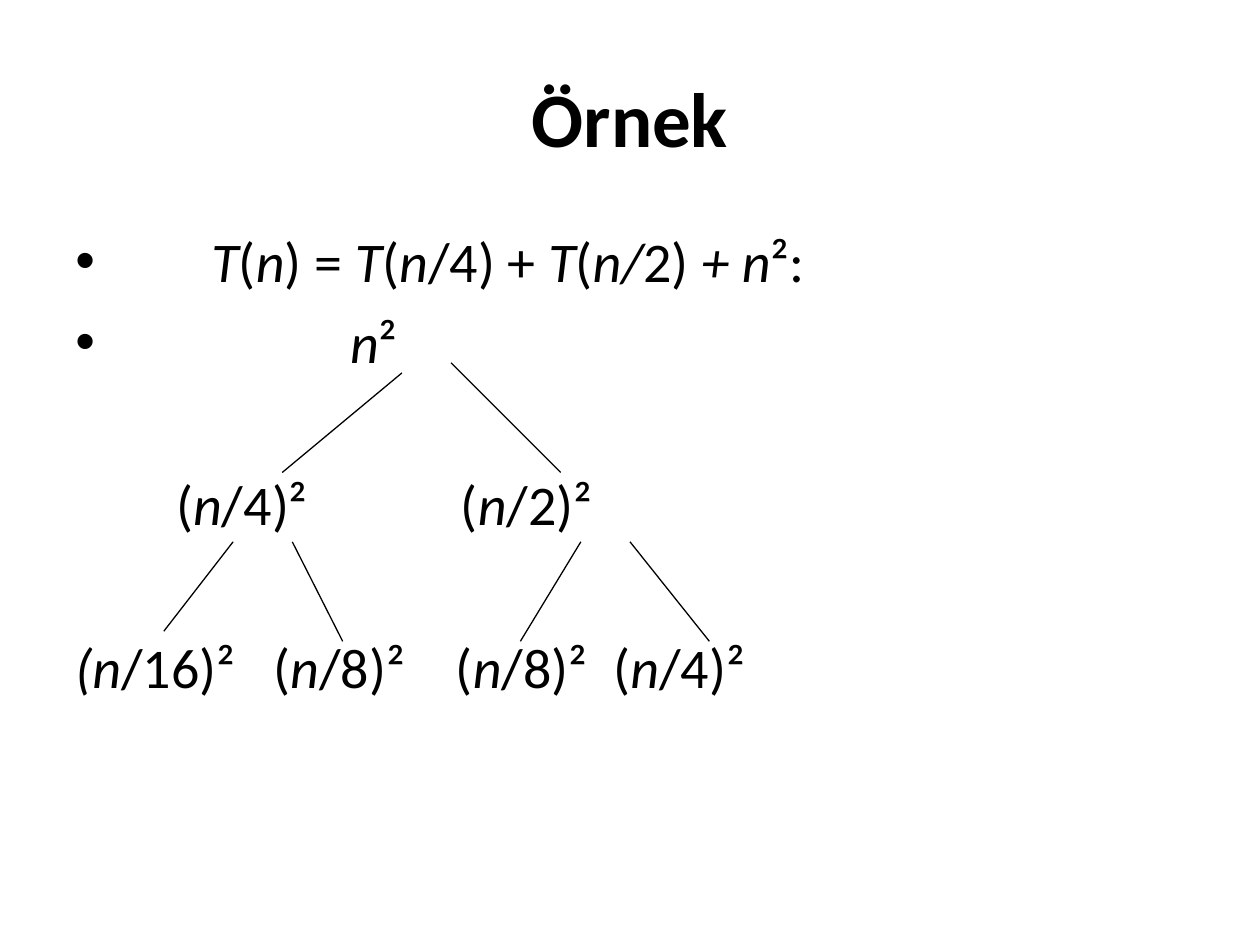
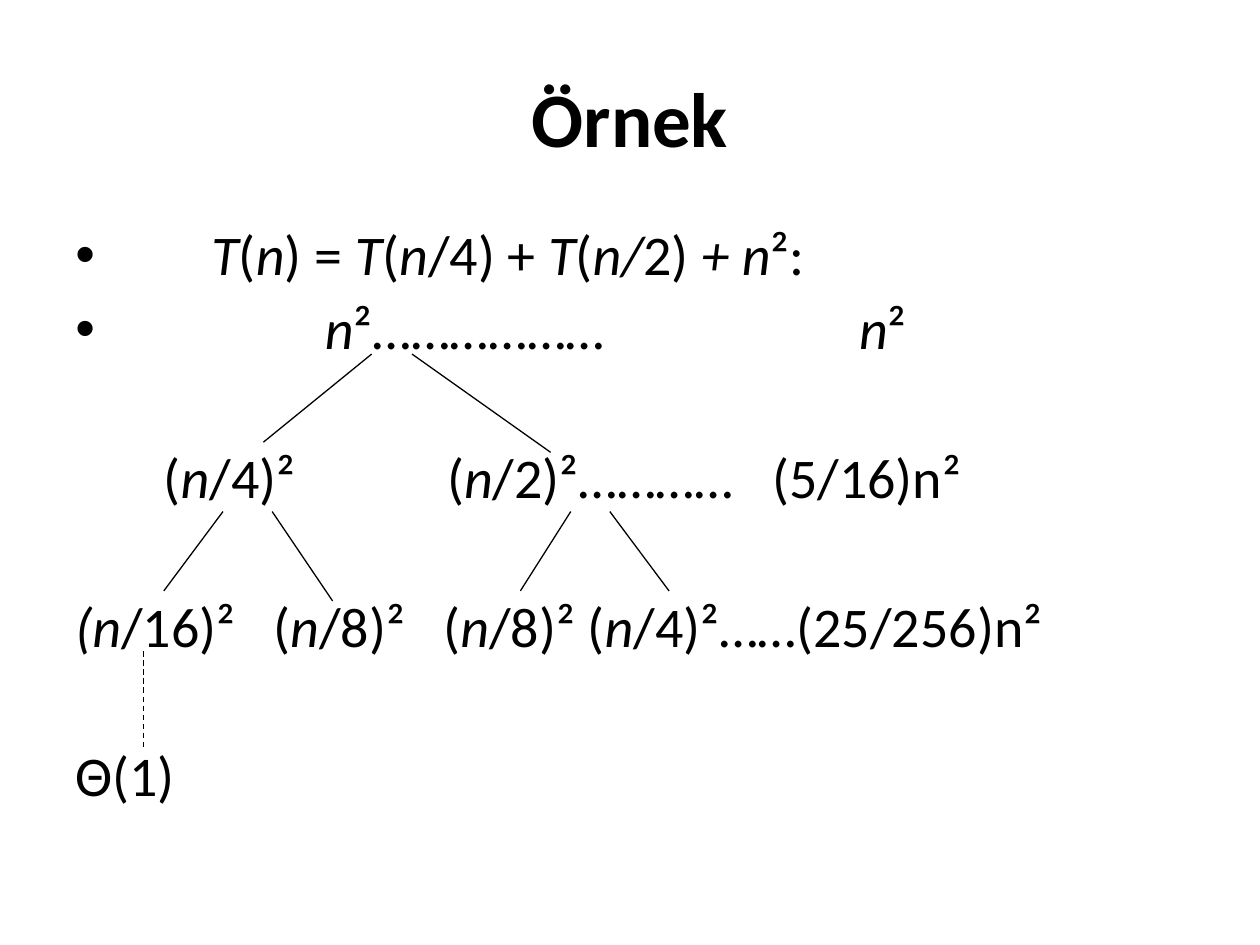
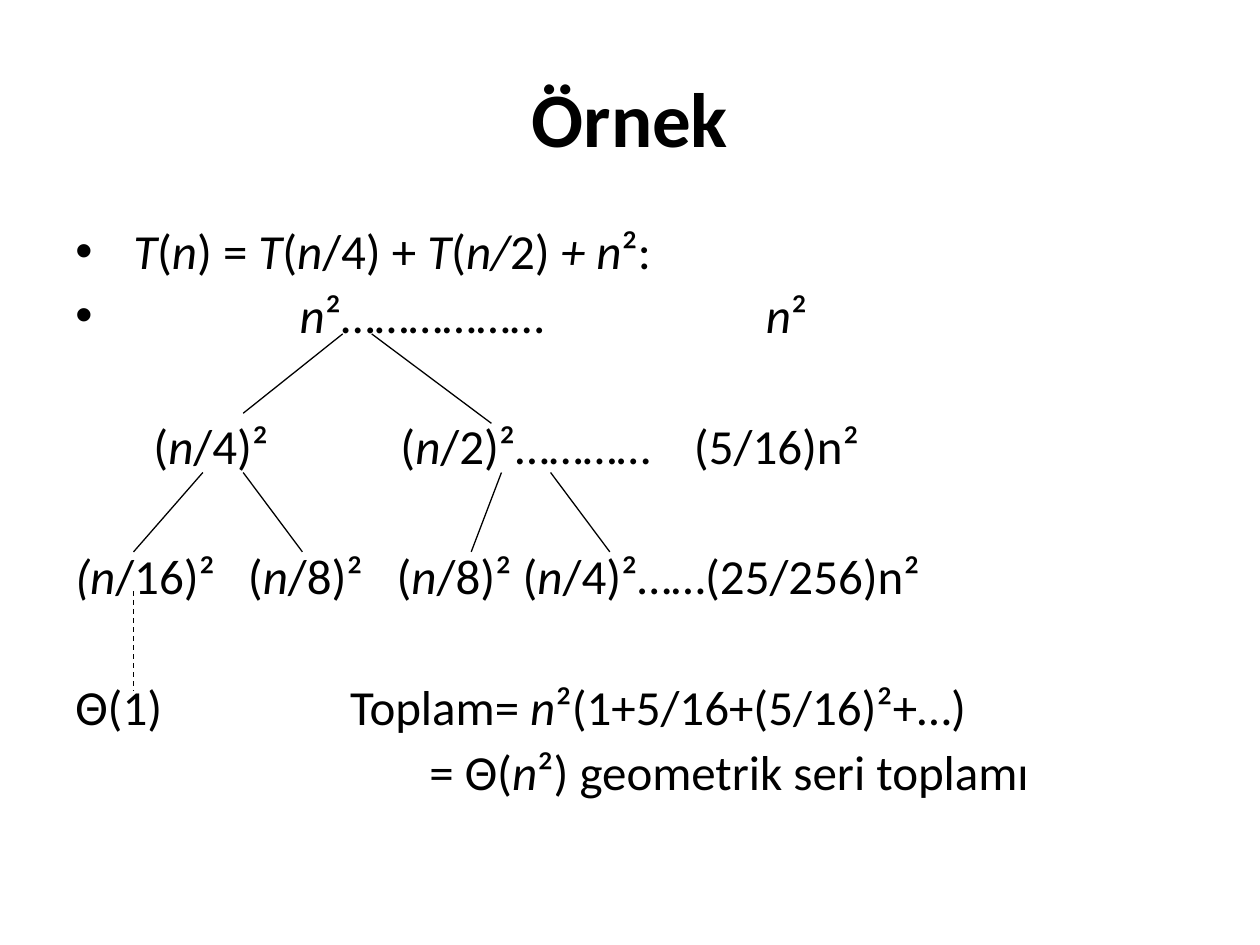
from lxml import etree
from pptx import Presentation
from pptx import util as u
from pptx.dml import color
from pptx.enum import dml, shapes, text
from pptx.oxml import ns

COLORS = {"ink": "000000", "paper": "FFFFFF"}
FONT = "Calibri"
LINE_HEIGHT = 1.22
TITLE_BOX = (0.5, 0.3, 9, 1.25)
BODY_BOX = (0.5, 1.75, 9, 4.95)
FORMULA = "\t*T*(*n*) = *T*(*n*/4) + *T*(*n/*2) *+ n*²:"
ROOT_SUM = "\t*n*²………………\t*n*²"
LEAVES_SUM = "*(n*/16)²\t(*n*/8)²\t(*n*/8)² (*n*/4)²……(25/256)n²"
HALVES = "\t(*n*/4)²\t(*n*/2)²"

TREES = [
    {
        "format": {"size": 32, "spacing": 1.0, "before": 7.7},
        "rows": [
            {"text": FORMULA, "stops": [1.08], "bullet": True},
            {"text": "\t*n*²", "stops": [2.18], "bullet": True},
            {"text": HALVES, "stops": [0.8, 3.06], "skip": 1},
            {"text": "*(n*/16)²\t(*n*/8)²\t(*n*/8)²\t(*n*/4)²",
             "stops": [1.57, 3.02, 4.27], "skip": 1},
        ],
        "branches": [
            (2.69, 1.21, 1.74, 2), (3.08, 1.13, 3.95, 2),
            (1.35, 2.55, 0.8, 3.26), (1.82, 2.55, 2.22, 3.34),
            (4.11, 2.55, 3.63, 3.34), (4.5, 2.55, 5.13, 3.34),
        ],
        "descents": [],
    },
    {
        "format": {"size": 32, "spacing": 0.9, "before": 7.7},
        "rows": [
            {"text": FORMULA, "stops": [1.08], "bullet": True},
            {"text": ROOT_SUM, "stops": [1.98, 6.22], "bullet": True},
            {"text": HALVES + "…………\t(5/16)n²", "stops": [0.7, 2.95, 5.53], "skip": 1},
            {"text": LEAVES_SUM, "stops": [1.57, 2.92], "skip": 1},
            {"text": "Θ(1)", "skip": 1},
        ],
        "branches": [
            (2.45, 1.06, 1.59, 1.76), (2.77, 1.06, 3.87, 1.84),
            (1.27, 2.31, 0.8, 2.94), (1.66, 2.31, 2.14, 3.02),
            (4.03, 2.31, 3.63, 2.94), (4.34, 2.31, 4.81, 2.94),
        ],
        "descents": [(0.64, 3.42, 0.64, 4.2)],
    },
    {
        "format": {"size": 28, "spacing": 0.9, "before": 6.8},
        "rows": [
            {"text": FORMULA, "stops": [0.46], "bullet": True},
            {"text": ROOT_SUM, "stops": [1.78, 5.48], "bullet": True},
            {"text": HALVES + "…………\t(5/16)n²", "stops": [0.62, 2.58, 4.91], "skip": 1},
            {"text": LEAVES_SUM, "stops": [1.37, 2.55], "skip": 1},
            {"text": "Θ(1)\tToplam= *n*²(1+5/16+(5/16)²+…)", "stops": [2.18], "skip": 1},
            {"text": "\t= Θ(*n*²) geometrik seri toplamı", "stops": [2.81]},
        ],
        "branches": [
            (2.22, 0.9, 1.43, 1.53), (2.45, 0.9, 3.4, 1.61),
            (1.11, 2, 0.56, 2.63), (1.43, 2, 1.9, 2.63),
            (3.48, 2, 3.24, 2.63), (3.87, 2, 4.34, 2.63),
        ],
        "descents": [(0.56, 2.94, 0.56, 3.73)],
    },
]


def rgb(name):
    return color.RGBColor.from_string(COLORS[name])


def apply(target, values):
    for name, value in values.items():
        setattr(target, name, value)


def add_text_frame(slide, box, anchor):
    frame = slide.shapes.add_textbox(*map(u.Inches, box)).text_frame
    apply(frame, {"word_wrap": True, "vertical_anchor": anchor})
    return frame


def add_marked_runs(paragraph, marked, size, bold=False):
    for index, piece in enumerate(marked.split("*")):
        if piece:
            run = paragraph.add_run()
            run.text = piece
            apply(run.font, {"name": FONT, "size": u.Pt(size), "bold": bold,
                             "italic": index % 2 == 1})
            run.font.color.rgb = rgb("ink")


def add_bullet_and_tabs(paragraph, bullet, stops):
    properties = paragraph._p.get_or_add_pPr()
    if bullet:
        properties.set("marL", "0")
        properties.set("indent", "0")
        etree.SubElement(properties, ns.qn("a:buFont")).set("typeface", "Arial")
        etree.SubElement(properties, ns.qn("a:buChar")).set("char", "•")
    if stops:
        tabs = etree.SubElement(properties, ns.qn("a:tabLst"))
        for stop in stops:
            tab = etree.SubElement(tabs, ns.qn("a:tab"))
            tab.set("pos", str(u.Inches(stop)))
            tab.set("algn", "l")


def add_title(slide, box, title):
    paragraph = add_text_frame(slide, box, text.MSO_ANCHOR.MIDDLE).paragraphs[0]
    paragraph.alignment = text.PP_ALIGN.CENTER
    add_marked_runs(paragraph, title, 44, bold=True)


def add_levels(slide, box, rows, size, spacing, before):
    frame = add_text_frame(slide, box, text.MSO_ANCHOR.TOP)
    line_pitch = size * LINE_HEIGHT * spacing + before
    for index, row in enumerate(rows):
        paragraph = frame.add_paragraph() if index else frame.paragraphs[0]
        add_bullet_and_tabs(paragraph, row.get("bullet"), row.get("stops"))
        paragraph.line_spacing = spacing
        if index:
            paragraph.space_before = u.Pt(before + row.get("skip", 0) * line_pitch)
        add_marked_runs(paragraph, row["text"], size)


def add_edges(slide, box, edges, dash=None):
    left, top = box[:2]
    for x1, y1, x2, y2 in edges:
        ends = (left + x1, top + y1, left + x2, top + y2)
        edge = slide.shapes.add_connector(
            shapes.MSO_CONNECTOR.STRAIGHT, *map(u.Inches, ends))
        edge.line.color.rgb = rgb("ink")
        apply(edge.line, {"width": u.Pt(0.75), "dash_style": dash})
        etree.SubElement(edge._element.spPr, ns.qn("a:effectLst"))


def add_tree_slide(presentation, tree):
    slide = presentation.slides.add_slide(presentation.slide_layouts[6])
    slide.background.fill.solid()
    slide.background.fill.fore_color.rgb = rgb("paper")
    add_title(slide, TITLE_BOX, "Örnek")
    add_levels(slide, BODY_BOX, tree["rows"], **tree["format"])
    add_edges(slide, BODY_BOX, tree["branches"])
    add_edges(slide, BODY_BOX, tree["descents"], dml.MSO_LINE.DASH)


def main():
    presentation = Presentation()
    apply(presentation, {"slide_width": u.Inches(10), "slide_height": u.Inches(7.5)})
    for tree in TREES:
        add_tree_slide(presentation, tree)
    presentation.save("out.pptx")


if __name__ == "__main__":
    main()
